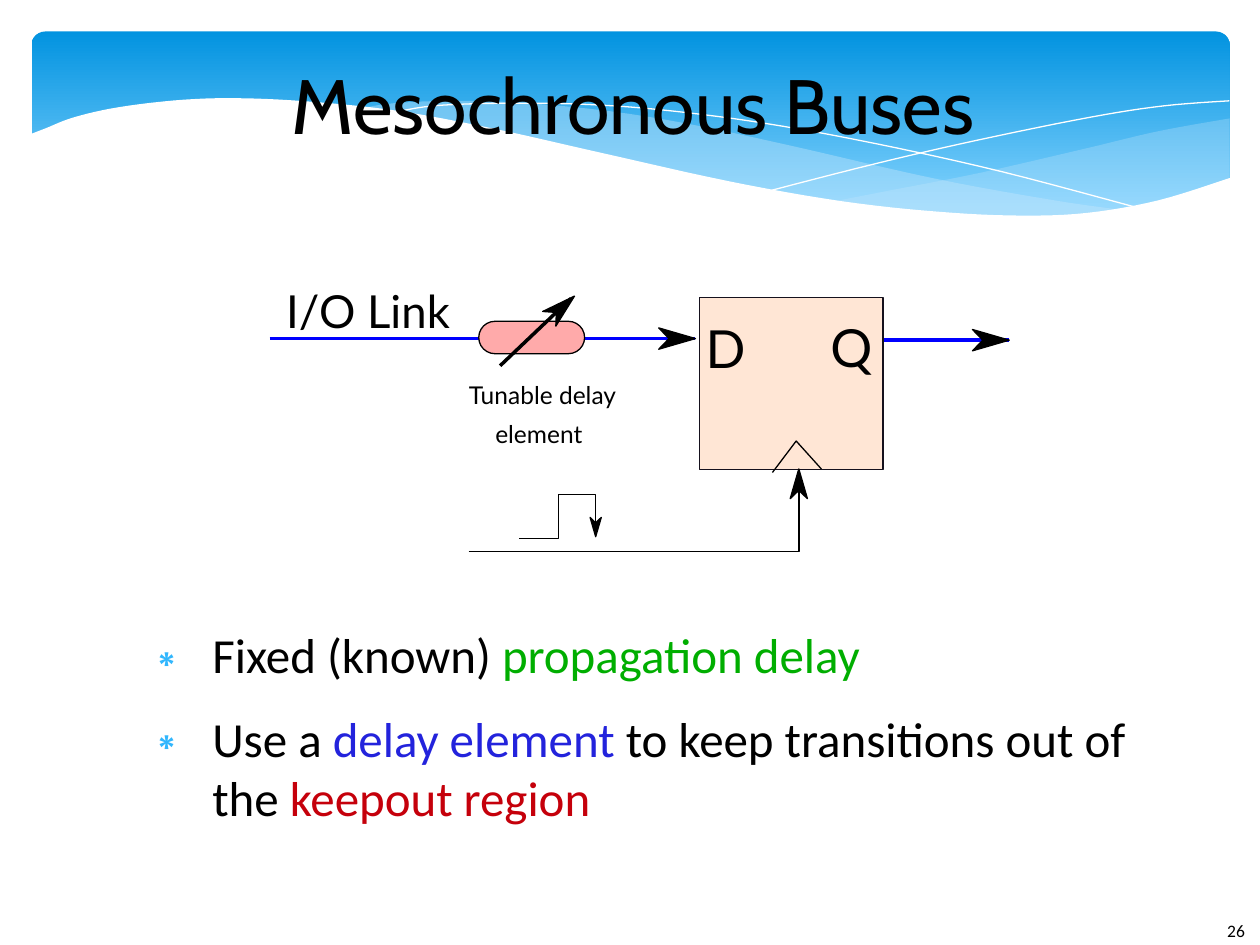
import math

import pptx
import pptx.dml.color
import pptx.enum.shapes
import pptx.enum.text
import pptx.oxml
import pptx.oxml.ns
import pptx.util
from lxml import etree

Pt = pptx.util.Pt
SHAPE = pptx.enum.shapes.MSO_SHAPE
ANCHOR = pptx.enum.text.MSO_ANCHOR

TITLE = "Mesochronous Buses"
BULLETS = [
    [("Fixed (known) ", "000000"), ("propagation delay", "00AE00")],
    [("Use a ", "000000"), ("delay element", "2323DC"),
     (" to keep transitions out of the ", "000000"), ("keepout region", "C5000B")],
]
# text, box, size, font
LABELS = [
    ("26", (701.3, 525.6, 36, 22), 10, "Calibri"),
    ("D", (403.2, 180.7, 36, 41), 30, "Lato"),
    ("Q", (474.5, 180, 37, 41), 30, "Lato"),
    ("I/O Link", (163.5, 162, 104, 34), 26, "Lato"),
    ("Tunable delay", (267.9, 217.4, 96, 19), 14, "Lato"),
    ("element", (283, 239.7, 60, 19), 14, "Lato"),
]

# Knots of the banner curves
BAND_RIGHT = [
    [(702.7, 67.7), (662, 75), (620, 85), (561, 98.6), (508, 109), (476, 115.2)],
    [(476, 115.2), (518, 120.2), (562, 123.8), (608, 123.7), (652, 117), (687, 109), (702.7, 101.5)],
]
BAND_LEFT = [
    [(643, 120.2), (602.6, 114.5), (534, 102), (453, 83.5), (399.6, 72), (352, 64),
     (302, 59), (260, 57.6), (225, 59), (206, 62)],
    [(206, 62), (246, 67.3), (291, 76.3), (353.5, 90.7), (420, 105), (479, 116),
     (529, 121.7), (573, 124.2), (610, 123.8), (643, 120.2)],
]
THIN_CURVES = [
    [(222.5, 64.8), (247.7, 60.5), (288.7, 59), (337.7, 59.8), (383.8, 63.4),
     (437.8, 70.6), (500, 82), (572, 98), (653, 119.5)],
    [(441, 108.7), (500, 93.6), (559, 80), (623, 67), (665, 60.5), (702.5, 57.6)],
]
WAVE = [
    [(703.5, 101.5), (662, 114.5), (621, 121.7), (582, 123.2), (536, 121), (481, 115),
     (417, 103.7), (342, 87), (281.5, 73.4), (227.5, 63.4), (180, 58.3), (139, 56.2),
     (105, 57), (68.4, 61.2), (42.5, 67), (26, 73.4), (16.6, 77)],
    [(16.6, 161), (703.5, 161)],
]

# Arrows: points, line colour, head tip, head direction in degrees, head length
ARROWS = [
    ([(154.1, 193.5), (397.4, 193.5)], "0000FF", (397.4, 193.5), 0, 21),
    ([(505.4, 194.4), (576.7, 194.4)], "0000FF", (576.7, 194.4), 0, 21),
    ([(267.8, 315), (456.5, 315), (456.5, 270)], "000000", (456.5, 268), -90, 17),
    ([(296.6, 307.6), (319, 307.6), (319, 282.6), (340.4, 282.6), (340.4, 305)],
     "000000", (340.4, 306.7), 90, 11),
]
TUNING_ARROW = ([(285.8, 209), (326.2, 170.6)], "000000", (328.3, 169.2), -42, 19.4)
CLOCK_NOTCH = [(441.4, 270), (455, 252), (469.4, 268)]


def rgb(value):
    return pptx.dml.color.RGBColor.from_string(value)


def paint(sp, fill=None, line=None, opacity=None):
    sp.shadow.inherit = False
    if fill:
        sp.fill.solid()
        sp.fill.fore_color.rgb = rgb(fill)
        if opacity:
            color = sp.fill._xPr.find(".//" + pptx.oxml.ns.qn("a:srgbClr"))
            etree.SubElement(color, pptx.oxml.ns.qn("a:alpha"), val=str(opacity * 1000))
    else:
        sp.fill.background()
    if line:
        sp.line.color.rgb = rgb(line)
        sp.line.width = Pt(0)
    else:
        sp.line.fill.background()


def smooth(knots, steps=6):
    """Points of a Catmull-Rom curve through the knots."""
    if len(knots) < 3:
        return knots
    ext = [knots[0], *knots, knots[-1]]
    points = [knots[0]]
    for a, b, c, d in zip(ext, ext[1:], ext[2:], ext[3:]):
        for t in (i / steps for i in range(1, steps + 1)):
            points.append(tuple(
                (2 * q + (u - p) * t + (2 * p - 5 * q + 4 * u - v) * t**2
                 + (3 * q - p - 3 * u + v) * t**3) / 2
                for p, q, u, v in zip(a, b, c, d)))
    return points


def outline(s, points, close=False, **style):
    pts = [(Pt(x), Pt(y)) for x, y in points]
    builder = s.shapes.build_freeform(*pts[0])
    builder.add_line_segments(pts[1:], close=close)
    paint(builder.convert_to_shape(), **style)


def region(s, curves, **style):
    outline(s, [p for curve in curves for p in smooth(curve)], close=True, **style)


def preset(s, kind, box, **style):
    sp = s.shapes.add_shape(kind, *map(Pt, box))
    paint(sp, **style)
    return sp


def arrow(s, points, color, tip, degrees, length):
    if len(points) == 2:
        cxn = s.shapes.add_connector(pptx.enum.shapes.MSO_CONNECTOR.STRAIGHT,
                                     *(Pt(v) for point in points for v in point))
        cxn.line.color.rgb = rgb(color)
        cxn.line.width = Pt(0)
        etree.SubElement(cxn.element.spPr, pptx.oxml.ns.qn("a:effectLst"))
    else:
        outline(s, points, line=color)
    ux, uy = math.cos(math.radians(degrees)), math.sin(math.radians(degrees))
    head = [(0, 0), (-1, -0.29), (-0.72, 0), (-1, 0.29)]
    outline(s, [(tip[0] + length * (a * ux - b * uy), tip[1] + length * (a * uy + b * ux))
                for a, b in head], close=True, fill="000000", line="000000")


def frame(sp, box, anchor=ANCHOR.TOP):
    """Place a text shape and return its text frame, without insets."""
    sp.left, sp.top, sp.width, sp.height = map(Pt, box)
    tf = sp.text_frame
    tf.word_wrap = True
    tf.auto_size = pptx.enum.text.MSO_AUTO_SIZE.NONE
    tf.vertical_anchor = anchor
    tf.margin_left = tf.margin_top = tf.margin_right = tf.margin_bottom = 0
    return tf


def add_run(p, text, size, font, color="000000"):
    r = p.add_run()
    r.text = text
    r.font.size, r.font.name, r.font.color.rgb = Pt(size), font, rgb(color)


def bullet(p, char, color):
    p.space_before, p.space_after = Pt(0), Pt(14.1)
    pPr = p._p.get_or_add_pPr()
    pPr.set("marL", str(Pt(45)))
    pPr.set("indent", str(Pt(-40)))
    clr = etree.SubElement(pPr, pptx.oxml.ns.qn("a:buClr"))
    etree.SubElement(clr, pptx.oxml.ns.qn("a:srgbClr"), val=color)
    etree.SubElement(pPr, pptx.oxml.ns.qn("a:buChar"), char=char)


prs = pptx.Presentation()
prs.slide_width, prs.slide_height = Pt(720), Pt(540)
s = prs.slides.add_slide(prs.slide_layouts[1])
title, body = s.placeholders

# Banner
banner = preset(s, SHAPE.ROUNDED_RECTANGLE, (18, 18, 684.7, 112.3))
banner.adjustments[0] = 0.07
banner.fill.gradient()
banner.fill.gradient_angle = 270
for stop, color, position in zip(banner.fill.gradient_stops, ("0293E0", "83D3FE"), (0, 0.9)):
    stop.color.rgb, stop.position = rgb(color), position
region(s, BAND_RIGHT, fill="C6E7FC", opacity=29)
region(s, BAND_LEFT, fill="C6E7FC", opacity=40)
for curve in THIN_CURVES:
    outline(s, smooth(curve), line="FFFFFF")
region(s, WAVE, fill="FFFFFF")

# Title and list, raised above the banner
for ph in (title, body):
    ph.element.getparent().append(ph.element)
p = frame(title, (69.8, 22.3, 584, 73.4), ANCHOR.MIDDLE).paragraphs[0]
p.alignment = pptx.enum.text.PP_ALIGN.CENTER
add_run(p, TITLE, 44, "Cabin")
tf = frame(body, (76.3, 357.1, 584, 105))
for i, runs in enumerate(BULLETS):
    p = tf.add_paragraph() if i else tf.paragraphs[0]
    bullet(p, "∗", "31B6FD")
    for text, color in runs:
        add_run(p, text, 28, "Calibri", color)

# Circuit
preset(s, SHAPE.RECTANGLE, (399.6, 169.9, 105, 98.6), fill="FFE6D5", line="15111D")
for spec_row in ARROWS:
    arrow(s, *spec_row)
outline(s, CLOCK_NOTCH, line="000000")
pill = preset(s, SHAPE.ROUNDED_RECTANGLE, (273.6, 183.6, 60.5, 18.5), fill="FFAAAA", line="000000")
pill.adjustments[0] = 0.5
arrow(s, *TUNING_ARROW)

for text, box, size, font in LABELS:
    tf = frame(s.shapes.add_textbox(*map(Pt, box)), box)
    add_run(tf.paragraphs[0], text, size, font)

prs.save("out.pptx")
